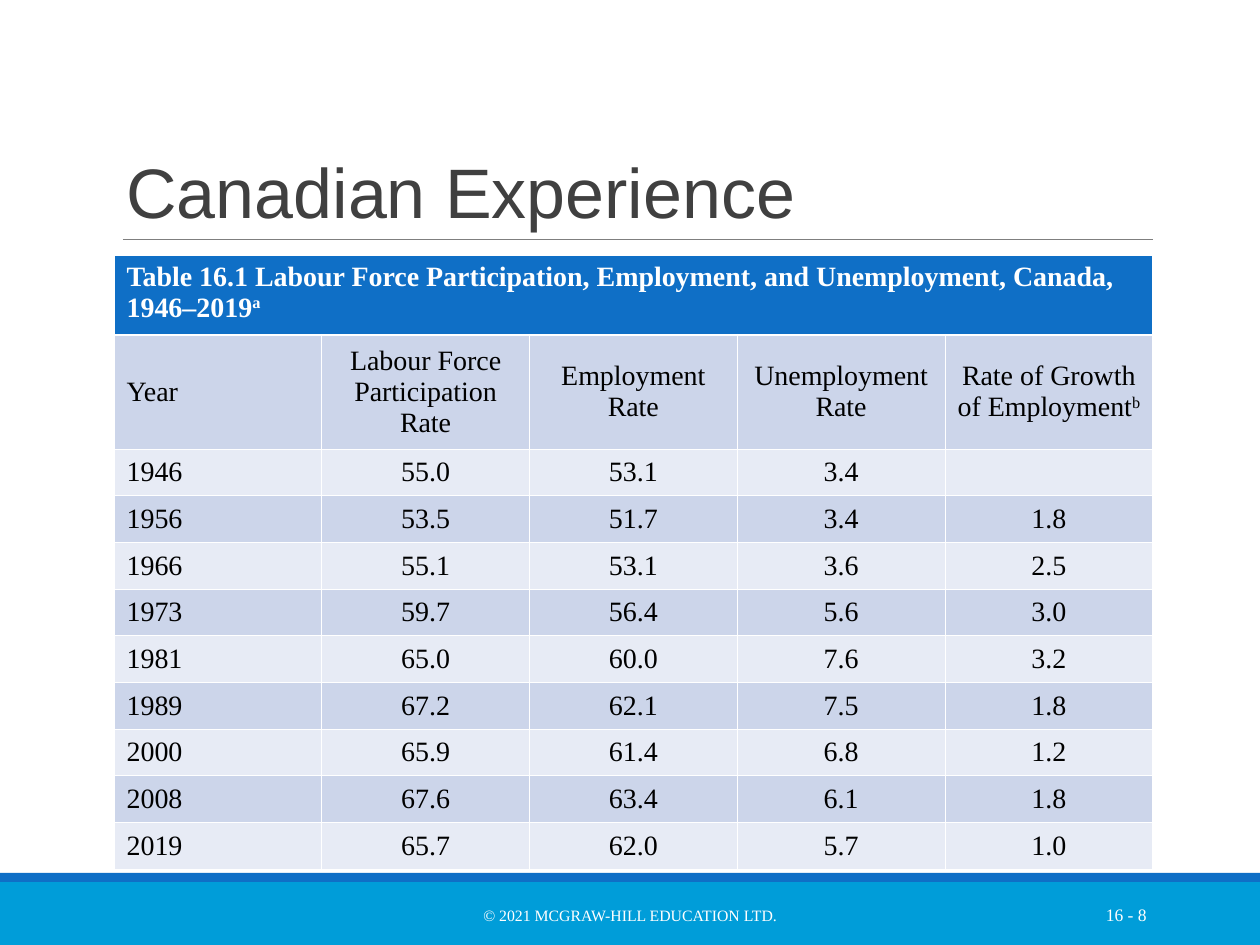
from lxml import etree
from pptx import Presentation
from pptx.dml.color import RGBColor
from pptx.enum.shapes import MSO_CONNECTOR, MSO_SHAPE
from pptx.enum.text import MSO_ANCHOR, PP_ALIGN
from pptx.oxml.ns import qn
from pptx.util import Emu, Pt

LEFT, MID, RIGHT = PP_ALIGN.LEFT, PP_ALIGN.CENTER, PP_ALIGN.RIGHT
CENTRE, LOW, TOP = MSO_ANCHOR.MIDDLE, MSO_ANCHOR.BOTTOM, MSO_ANCHOR.TOP
RECT, LINE = MSO_SHAPE.RECTANGLE, MSO_CONNECTOR.STRAIGHT
PX = 914400 // 126
SERIF = "Times New Roman"

HEX = {"white": "FFFFFF", "black": "000000", "title": "404040", "rule": "7F7F7F",
       "blue": "0F6FC6", "sky": "009DD9", "dark": "CCD5EA", "pale": "E7EBF5"}

# Content: a pair is text with its superscript mark
CAPTION = ("Table 16.1 Labour Force Participation, Employment, "
           "and Unemployment, Canada, 1946–2019", "a")
HEADS = ["Year", "Labour Force Participation Rate", "Employment Rate",
         "Unemployment Rate", ("Rate of Growth of Employment", "b")]
RATES = [
    ["1946", "55.0", "53.1", "3.4", ""],
    ["1956", "53.5", "51.7", "3.4", "1.8"],
    ["1966", "55.1", "53.1", "3.6", "2.5"],
    ["1973", "59.7", "56.4", "5.6", "3.0"],
    ["1981", "65.0", "60.0", "7.6", "3.2"],
    ["1989", "67.2", "62.1", "7.5", "1.8"],
    ["2000", "65.9", "61.4", "6.8", "1.2"],
    ["2008", "67.6", "63.4", "6.1", "1.8"],
    ["2019", "65.7", "62.0", "5.7", "1.0"],
]
# Text, place, alignment, anchor, line spacing, font
TEXTS = [
    ("© 2021 MCGRAW-HILL EDUCATION LTD.", (381, 890, 498, 50), MID, CENTRE, 1,
     {"size": Pt(9), "name": SERIF}, "white"),
    ("16 - 8", (1023, 890, 136, 50), RIGHT, CENTRE, 1,
     {"size": Pt(10), "name": SERIF}, "white"),
    ("Canadian Experience", (114, 39, 1039, 200), LEFT, LOW, 0.85,
     {"size": Pt(40), "name": "Arial"}, "title"),
]
BANDS = [((0, 882, 1260, 63), "sky"), ((0, 873, 1260, 9), "blue")]
GRID = (114, 255, 1039, 614)
HEIGHTS = [80, 114]
THIN, THICK = Pt(0.45), Pt(1.47)


def rgb(name):
    return RGBColor.from_string(HEX[name])


def emu(box):
    return [Emu(v * PX) for v in box]


def write(para, text, form, tone):
    """Add the text, and a superscript mark when it comes as a pair."""
    parts = text if isinstance(text, tuple) else (text,)
    for i, part in enumerate(parts):
        if not part:
            continue
        run = para.add_run()
        run.text = part
        for key, val in form.items():
            setattr(run.font, key, val)
        run.font.color.rgb = rgb(tone)
        if i:
            run.font._element.set("baseline", "30000")


def edge(cell, side, width):
    line = etree.SubElement(cell._tc.get_or_add_tcPr(), qn("a:" + side), w=str(width))
    fill = etree.SubElement(line, qn("a:solidFill"))
    etree.SubElement(fill, qn("a:srgbClr"), val=HEX["white"])


def style(cell, row, fill):
    for side in ("lnL", "lnR", "lnT", "lnB"):
        thick = (row, side) in ((0, "lnB"), (1, "lnT"))
        edge(cell, side, THICK if thick else THIN)
    cell.fill.solid()
    cell.fill.fore_color.rgb = rgb(fill)


prs = Presentation()
prs.slide_width, prs.slide_height = emu((1260, 945))
slide = prs.slides.add_slide(prs.slide_layouts[6])
shapes = slide.shapes

# Footer bands
for box, tone in BANDS:
    band = shapes.add_shape(RECT, *emu(box))
    band.shadow.inherit = False
    band.fill.solid()
    band.fill.fore_color.rgb = rgb(tone)
    band.line.fill.background()

# Rule under the title
rule = shapes.add_connector(LINE, *emu((123, 239, 1153, 239)))
rule.line.color.rgb = rgb("rule")
rule.line.width = Pt(0.5)
etree.SubElement(rule._element.spPr, qn("a:effectLst"))

# Table
rows = [[CAPTION] + [""] * 4, HEADS] + RATES
table = shapes.add_table(len(rows), len(HEADS), *emu(GRID)).table
for col in table.columns:
    col.width = Emu(GRID[2] * PX // len(HEADS))
rest = (GRID[3] - sum(HEIGHTS)) * PX // len(RATES)
for r, row in enumerate(rows):
    table.rows[r].height = Emu(HEIGHTS[r] * PX if r < len(HEIGHTS) else rest)
    fill = "blue" if r == 0 else "dark" if r % 2 else "pale"
    for c, text in enumerate(row):
        cell = table.cell(r, c)
        style(cell, r, fill)
        cell.vertical_anchor = CENTRE if r else TOP
        para = cell.text_frame.paragraphs[0]
        para.alignment = MID if c else LEFT
        form = {"size": Pt(16), "name": SERIF, "bold": r == 0}
        write(para, text, form, "black" if r else "white")
        if not text:
            para._p.get_or_add_endParaRPr().set("sz", "1600")
table.cell(0, 0).merge(table.cell(0, len(HEADS) - 1))

# Title and footer text
for text, box, align, anchor, space, form, tone in TEXTS:
    frame = shapes.add_textbox(*emu(box)).text_frame
    frame.word_wrap = True
    frame.vertical_anchor = anchor
    para = frame.paragraphs[0]
    para.alignment = align
    para.line_spacing = space
    write(para, text, form, tone)

prs.save("out.pptx")
